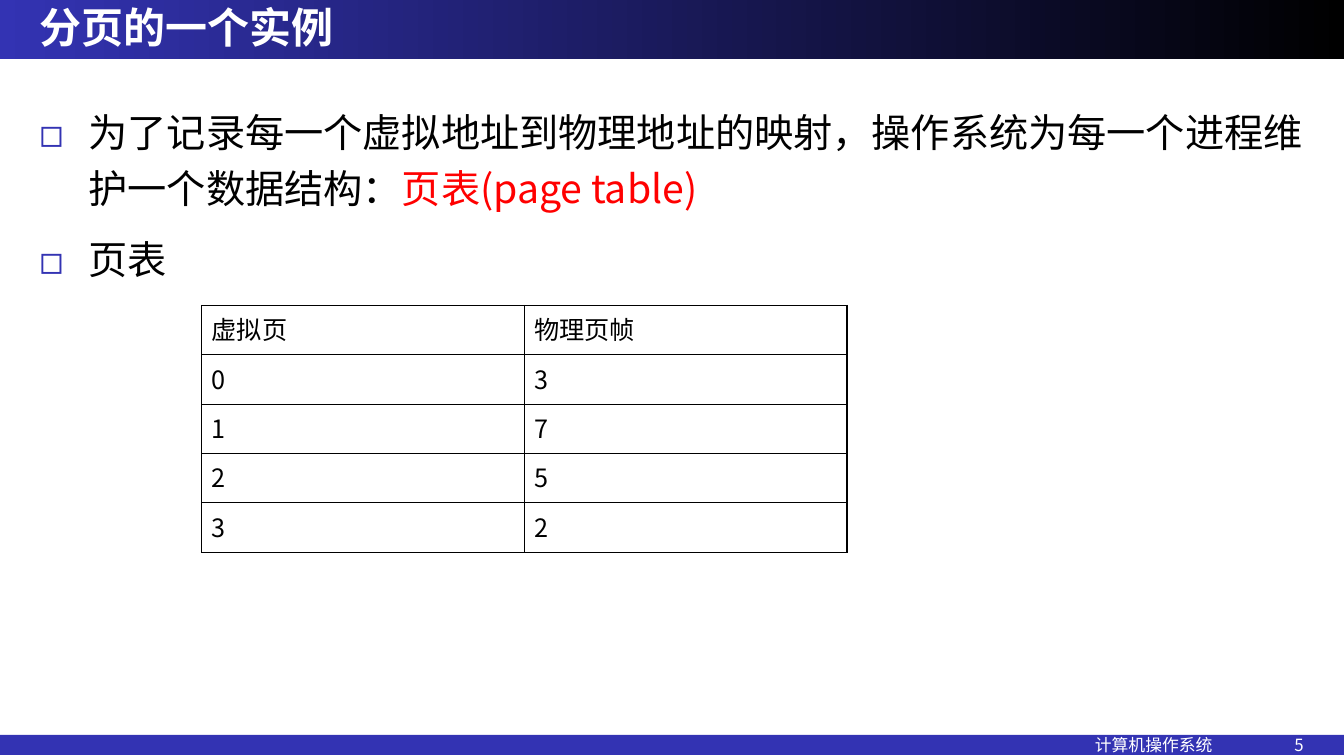
import pptx
import pptx.util
import pptx.dml.color
import pptx.enum.shapes
import pptx.enum.text
import pptx.oxml
import pptx.oxml.ns
from pptx.util import Inches

FONT = "Noto Sans CJK SC"
BLUE = "3333B3"
PAGE_TABLE = [("虚拟页", "物理页帧"), ("0", "3"), ("1", "7"), ("2", "5"), ("3", "2")]


def rgb(color):
    return pptx.dml.color.RGBColor.from_string(color)


def make_xml(tag, body="", **attrs):
    """Return an element of the drawing namespace."""
    listed = " ".join(f'{key}="{value}"' for key, value in attrs.items())
    ns = pptx.oxml.ns.nsdecls("a")
    return pptx.oxml.parse_xml(f"<a:{tag} {ns} {listed}>{body}</a:{tag}>")


def style_paragraph(p, size, color, bold=False):
    """Set the font for Latin and East Asian text alike; return its properties."""
    p.font.size = pptx.util.Pt(size)
    p.font.bold = bold
    p.font.color.rgb = rgb(color)
    p.font.name = FONT
    props = p._p.pPr.find(pptx.oxml.ns.qn("a:defRPr"))
    props.append(make_xml("ea", typeface=FONT))
    return props


def set_frame(tf, left, top, right, bottom, anchor):
    tf.word_wrap = True
    tf.margin_left, tf.margin_top = Inches(left), Inches(top)
    tf.margin_right, tf.margin_bottom = Inches(right), Inches(bottom)
    tf.vertical_anchor = anchor


def add_bar(slide, top, height, left_inset, right_inset):
    """Add a full-width bar without outline."""
    sp = slide.shapes.add_shape(
        pptx.enum.shapes.MSO_SHAPE.RECTANGLE,
        0, Inches(top), Inches(13.33), Inches(height))
    sp.shadow.inherit = False
    sp.line.fill.background()
    set_frame(sp.text_frame, left_inset, 0.05, right_inset, 0.05,
              pptx.enum.text.MSO_ANCHOR.MIDDLE)
    sp.text_frame.paragraphs[0].alignment = pptx.enum.text.PP_ALIGN.LEFT
    return sp


def add_title(slide, text):
    sp = add_bar(slide, 0, 0.59, 0.39, 0.1)
    sp.fill.gradient()
    sp.fill.gradient_angle = 0
    for stop, position, color in zip(sp.fill.gradient_stops, (0, 1), (BLUE, "000000")):
        stop.position = position
        stop.color.rgb = rgb(color)
    p = sp.text_frame.paragraphs[0]
    p.text = text
    p.line_spacing = 0.9
    style_paragraph(p, 30, "FFFFFF", bold=True)


def add_footer(slide, course, number):
    sp = add_bar(slide, 7.29, 0.2, 10.86, 0.39)
    sp.fill.solid()
    sp.fill.fore_color.rgb = rgb(BLUE)
    p = sp.text_frame.paragraphs[0]
    p.text = f"{course}\t{number}"
    props = style_paragraph(p, 12, "FFFFFF")
    tab = f'<a:tab pos="{Inches(2.07)}" algn="r"/>'
    props.addprevious(make_xml("tabLst", tab))


def add_bullets(slide, bullets):
    """Add bulleted paragraphs, each a list of (text, color) runs."""
    box = slide.shapes.add_textbox(0, Inches(0.59), Inches(13.33), Inches(6.7))
    tf = box.text_frame
    set_frame(tf, 0.39, 0.39, 0.39, 0.39, pptx.enum.text.MSO_ANCHOR.TOP)
    for i, runs in enumerate(bullets):
        p = tf.add_paragraph() if i else tf.paragraphs[0]
        p.line_spacing = 1.2
        p.space_before = pptx.util.Pt(10)
        props = style_paragraph(p, 28, "000000")
        p._p.pPr.set("marL", str(Inches(0.49)))
        p._p.pPr.set("indent", str(-Inches(0.49)))
        props.addprevious(make_xml("buClr", f'<a:srgbClr val="{BLUE}"/>'))
        props.addprevious(make_xml("buFont", typeface=FONT))
        props.addprevious(make_xml("buChar", char="◻"))
        for text, color in runs:
            r = p.add_run()
            r.text = text
            r.font.color.rgb = rgb(color)


def set_borders(cell, color, width):
    line = f'<a:solidFill><a:srgbClr val="{color}"/></a:solidFill>'
    for i, side in enumerate(("lnL", "lnR", "lnT", "lnB")):
        border = make_xml(side, line, w=pptx.util.Pt(width))
        cell._tc.get_or_add_tcPr().insert(i, border)


def add_page_table(slide, rows):
    frame = slide.shapes.add_table(len(rows), len(rows[0]), Inches(2), Inches(3.03),
                                   Inches(6.4), Inches(0.49 * len(rows)))
    table = frame.table
    table.first_row = table.horz_banding = False
    for i, row in enumerate(rows):
        for j, text in enumerate(row):
            cell = table.cell(i, j)
            cell.text = text
            cell.fill.background()
            set_borders(cell, "000000", 1)
            style_paragraph(cell.text_frame.paragraphs[0], 18, "000000")


def main():
    prs = pptx.Presentation()
    prs.slide_width, prs.slide_height = Inches(13.33), Inches(7.5)
    slide = prs.slides.add_slide(prs.slide_layouts[6])
    add_title(slide, "分页的一个实例")
    add_bullets(slide, [
        [("为了记录每一个虚拟地址到物理地址的映射，操作系统为每一个进程维护一个数据结构：", "000000"),
         ("页表(page table)", "FF0000")],
        [("页表", "000000")],
    ])
    add_footer(slide, "计算机操作系统", 5)
    add_page_table(slide, PAGE_TABLE)
    prs.save("out.pptx")


if __name__ == "__main__":
    main()
